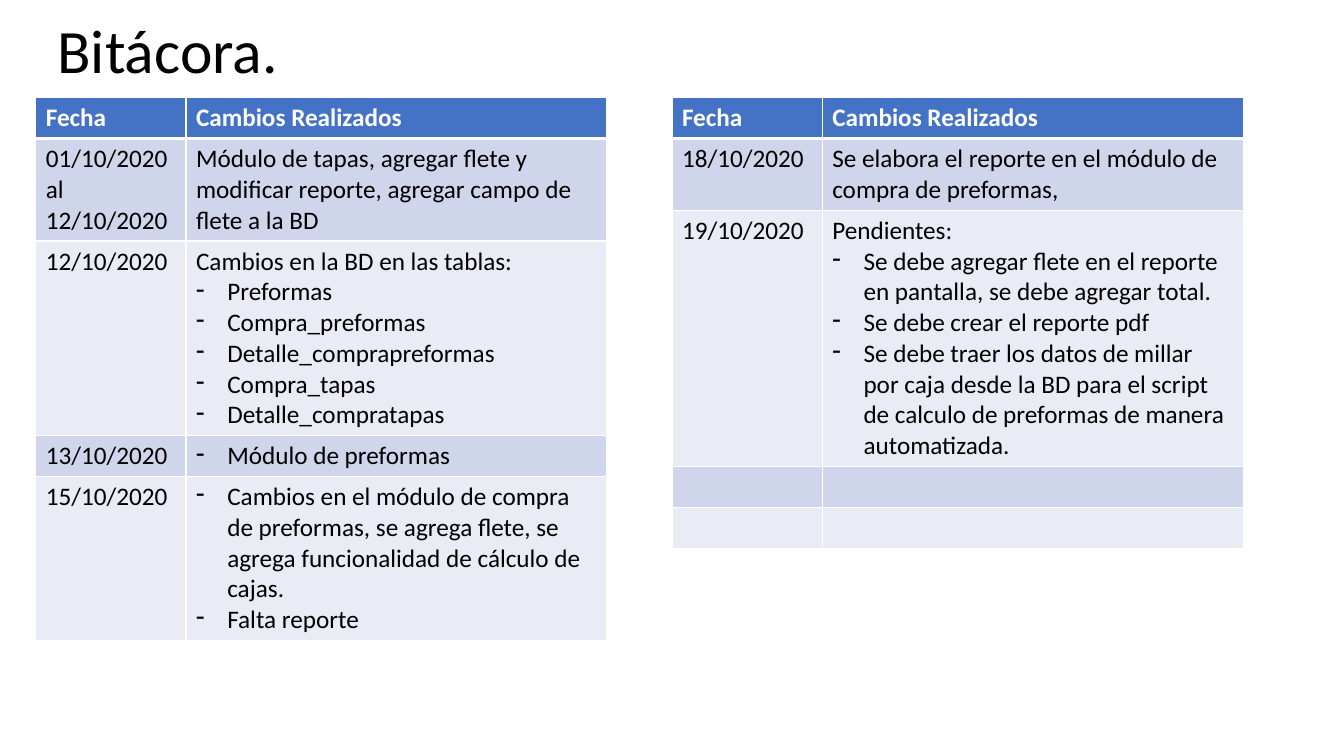
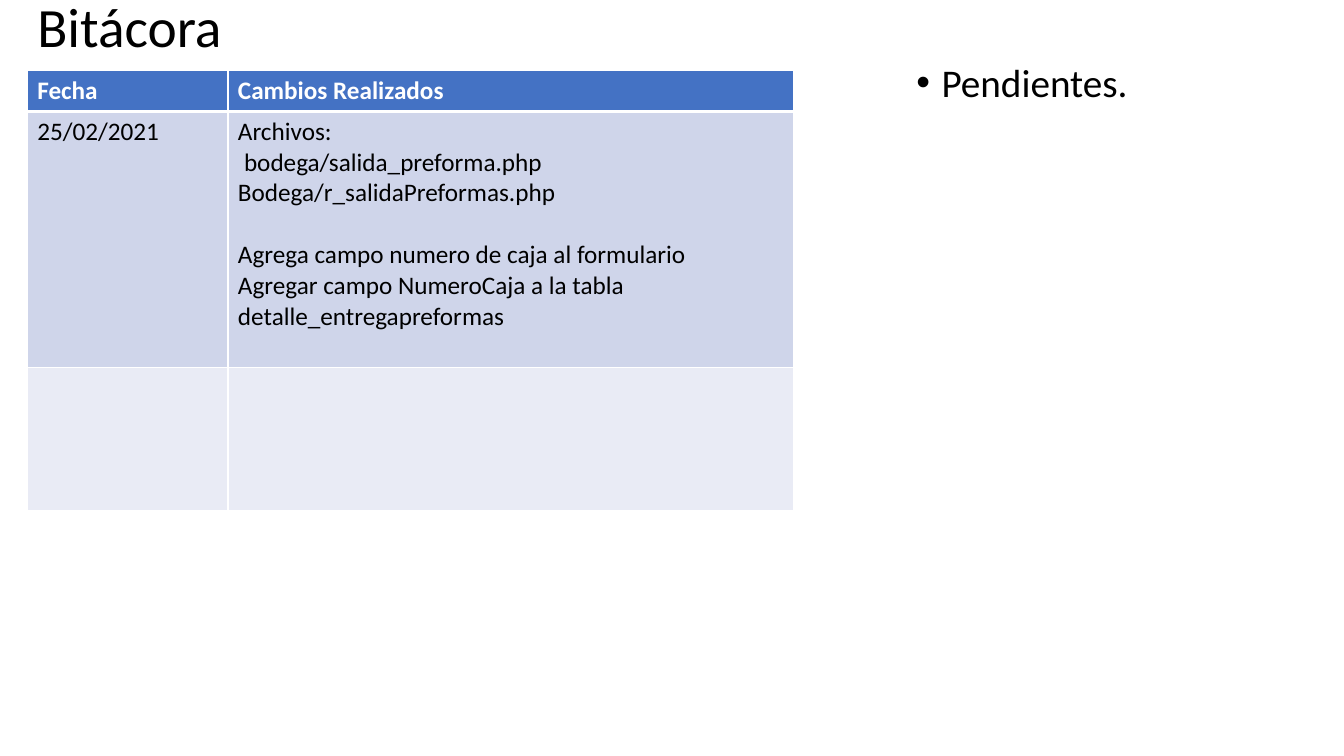
from dataclasses import dataclass

from lxml.etree import SubElement
from pptx import Presentation
from pptx.dml.color import RGBColor
from pptx.enum.text import MSO_ANCHOR, MSO_AUTO_SIZE, PP_ALIGN
from pptx.oxml.ns import qn
from pptx.util import Inches, Pt

COLORS = {
    "text": "000000",
    "header": "4472C4",
    "header_text": "FFFFFF",
    "band_dark": "CFD5EA",
    "band_light": "E9EBF5",
    "border": "FFFFFF",
}
FONT = "Calibri"
CELL_SIZE = 18
WIDTH, HEIGHT = Inches(40 / 3), Inches(7.5)
HEADINGS = ("Fecha", "Cambios Realizados")


@dataclass
class Line:
    text: str
    bullet: bool = False
    indent: float = 0
    gap: float = 0


def across(percent):
    return round(WIDTH * percent / 100)


def down(percent):
    return round(HEIGHT * percent / 100)


def row_height(lines):
    return Inches(0.1 + 0.305 * lines)


def items(*texts):
    return [Line(text, bullet=True) for text in texts]


def add_run(paragraph, text, size, color="text", bold=False):
    run = paragraph.add_run()
    run.text = text
    font = run.font
    font.name, font.size, font.bold = FONT, Pt(size), bold
    font.color.rgb = RGBColor.from_string(COLORS[color])


def set_indent(paragraph, indent, bullet=None):
    properties = paragraph._p.get_or_add_pPr()
    properties.set("marL", str(Inches(indent)))
    properties.set("indent", str(-Inches(indent) if bullet else 0))
    if bullet:
        SubElement(properties, qn("a:buChar")).set("char", bullet)


def place(placeholder, left, top, width, height, anchor):
    placeholder.left, placeholder.top = across(left), down(top)
    placeholder.width, placeholder.height = across(width), down(height)
    frame = placeholder.text_frame
    frame.word_wrap = True
    frame.auto_size = MSO_AUTO_SIZE.NONE
    frame.vertical_anchor = anchor
    paragraph = frame.paragraphs[0]
    paragraph.alignment = PP_ALIGN.LEFT
    paragraph.line_spacing = 0.9
    paragraph.space_before = Pt(0)
    return paragraph


def fill_title(slide, text, size, left, height):
    paragraph = place(slide.shapes.title, left, 0, 86.25, height, MSO_ANCHOR.MIDDLE)
    add_run(paragraph, text, size)


def fill_pending(slide, text, left, top, width, height):
    paragraph = place(slide.placeholders[1], left, top, width, height, MSO_ANCHOR.TOP)
    set_indent(paragraph, 0.25, "•")
    add_run(paragraph, text, 28)


def style_cell(cell, row):
    properties = cell._tc.get_or_add_tcPr()
    heavy = {0: "lnB", 1: "lnT"}.get(row)
    for side in ("lnL", "lnR", "lnT", "lnB"):
        border = SubElement(properties, qn(f"a:{side}"))
        border.set("w", str(Pt(3 if side == heavy else 1)))
        color = SubElement(SubElement(border, qn("a:solidFill")), qn("a:srgbClr"))
        color.set("val", COLORS["border"])
    band = "header" if row == 0 else "band_dark" if row % 2 else "band_light"
    cell.fill.solid()
    cell.fill.fore_color.rgb = RGBColor.from_string(COLORS[band])


def write_cell(cell, lines, header):
    frame = cell.text_frame
    for number, line in enumerate(lines):
        paragraph = frame.add_paragraph() if number else frame.paragraphs[0]
        if line.bullet:
            set_indent(paragraph, 0.31, "-")
        elif line.indent:
            set_indent(paragraph, line.indent)
        if line.gap:
            paragraph.space_before = Pt(line.gap)
        add_run(paragraph, line.text, CELL_SIZE,
                "header_text" if header else "text", header)


def add_log(slide, left, top, width, date_width, entries):
    heights = [row_height(1)] + [height for height, _, _ in entries]
    rows = [[[Line(heading)] for heading in HEADINGS]]
    rows += [[[Line(date)] if date else [], changes] for _, date, changes in entries]
    log = slide.shapes.add_table(
        len(rows), 2, across(left), down(top), across(width), sum(heights)).table
    log.horz_banding = False
    log.columns[0].width = across(date_width)
    log.columns[1].width = across(width - date_width)
    for row, (height, contents) in enumerate(zip(heights, rows)):
        log.rows[row].height = height
        for column, lines in enumerate(contents):
            cell = log.cell(row, column)
            style_cell(cell, row)
            write_cell(cell, lines, row == 0)


def build_october_slide(deck):
    slide = deck.slides.add_slide(deck.slide_layouts[5])
    fill_title(slide, "Bitácora.", 44, 3.53, 14.27)
    first_half = [
        (row_height(3), "01/10/2020 al 12/10/2020", [
            Line("Módulo de tapas, agregar flete y modificar reporte, "
                 "agregar campo de flete a la BD")]),
        (row_height(6), "12/10/2020", [
            Line("Cambios en la BD en las tablas:"),
            *items("Preformas", "Compra_preformas", "Detalle_comprapreformas",
                   "Compra_tapas", "Detalle_compratapas")]),
        (row_height(1), "13/10/2020", items("Módulo de preformas")),
        (row_height(5), "15/10/2020", items(
            "Cambios en el módulo de compra de preformas, se agrega flete, "
            "se agrega funcionalidad de cálculo de cajas.",
            "Falta reporte")),
    ]
    second_half = [
        (row_height(2), "18/10/2020", [
            Line("Se elabora el reporte en el módulo de compra de preformas,")]),
        (row_height(8), "19/10/2020", [
            Line("Pendientes:"),
            *items("Se debe agregar flete en el reporte en pantalla, "
                   "se debe agregar total.",
                   "Se debe crear el reporte pdf",
                   "Se debe traer los datos de millar por caja desde la BD para "
                   "el script de calculo de preformas de manera automatizada.")]),
        (row_height(1), "", []),
        (row_height(1), "", []),
    ]
    for left, entries in ((2.66, first_half), (50, second_half)):
        add_log(slide, left, 12.93, 42.5, 11.18, entries)


def build_february_slide(deck):
    slide = deck.slides.add_slide(deck.slide_layouts[1])
    fill_title(slide, "Bitácora", 39.6, 2.03, 7.73)
    fill_pending(slide, "Pendientes.", 67.43, 7.73, 32.57, 88.8)
    entries = [
        (row_height(8), "25/02/2021", [
            Line("Archivos:"),
            Line("bodega/salida_preforma.php", indent=0.06),
            Line("Bodega/r_salidaPreformas.php"),
            Line("Agrega campo numero de caja al formulario", gap=22),
            Line("Agregar campo NumeroCaja a la tabla detalle_entregapreformas")]),
        (Inches(1.42), "", []),
    ]
    add_log(slide, 2.03, 9.33, 57.05, 14.93, entries)


def main():
    deck = Presentation()
    deck.slide_width, deck.slide_height = WIDTH, HEIGHT
    build_october_slide(deck)
    build_february_slide(deck)
    deck.save("out.pptx")


if __name__ == "__main__":
    main()
